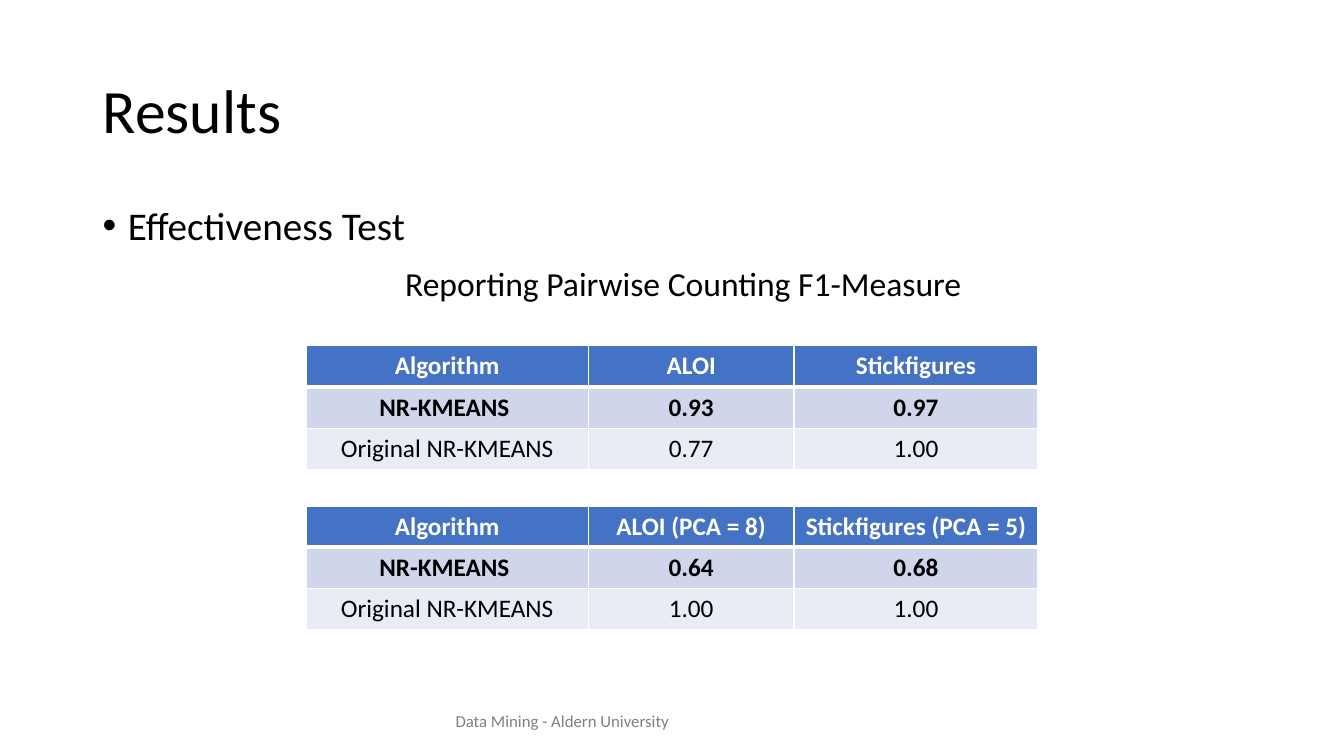
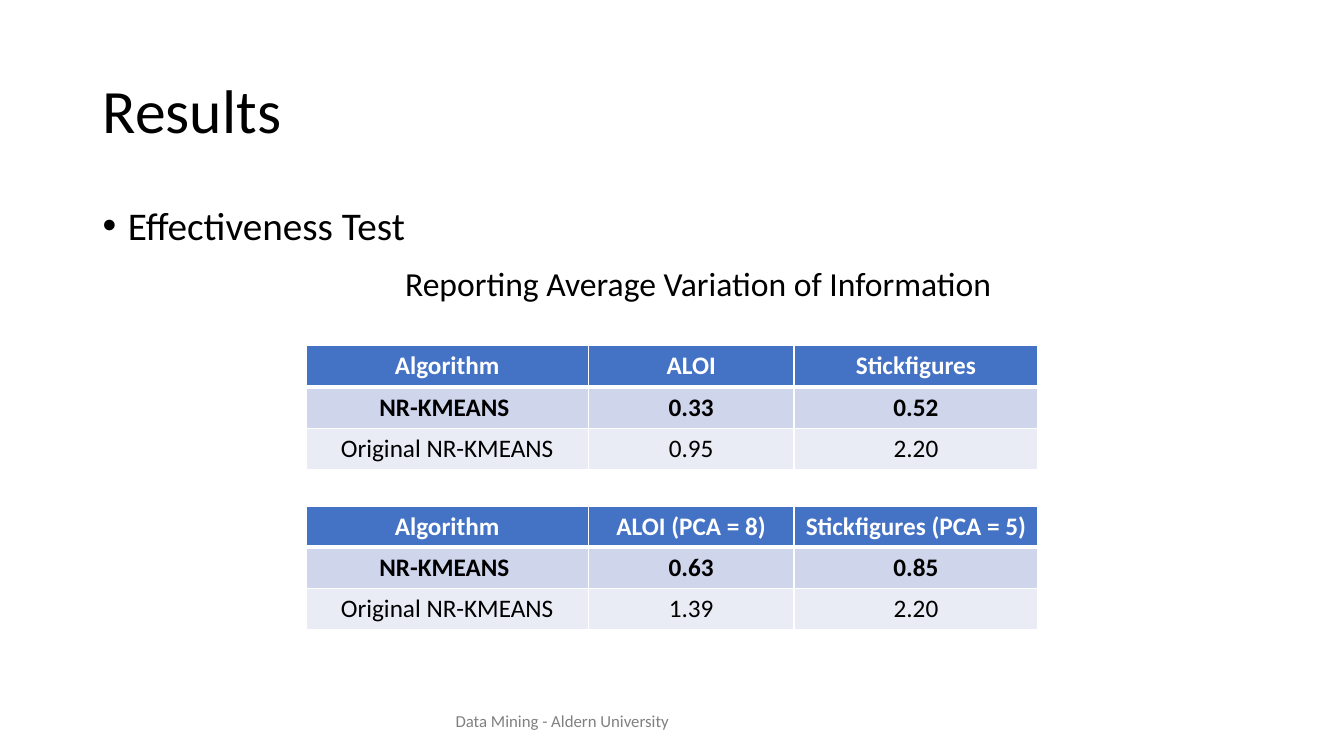
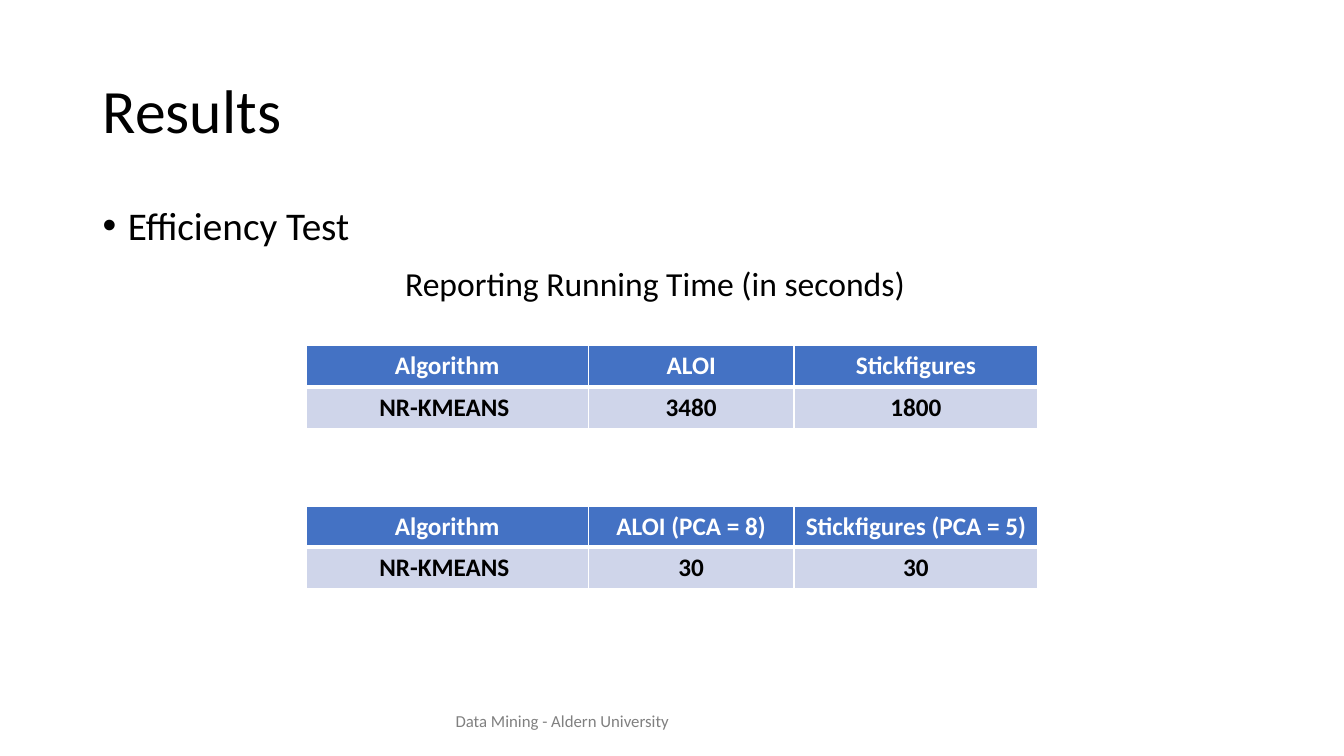
from pptx import Presentation, util as u
from pptx.dml.color import RGBColor
from pptx.enum import text as t
from pptx.oxml import parse_xml
from pptx.oxml.ns import nsdecls

WIDE, HIGH = 13.33, 7.5
COLORS = dict(ink="000000", paper="FFFFFF", head="4472C4",
              odd="CFD5EA", even="E9EBF5", foot="808080")
FONT = "Calibri"
TITLE = "Results"
FOOTER = "Data Mining - Aldern University"
HEADS = [("Algorithm", "ALOI", "Stickfigures"),
         ("Algorithm", "ALOI (PCA = 8)", "Stickfigures (PCA = 5)")]
NAMES = ["NR-KMEANS ", "Original NR-KMEANS"]

# Each slide: bullet, caption, then the value rows of its two tables
SLIDES = [
    ("Effectiveness Test", "Reporting Pairwise Counting F1-Measure",
     [[("0.93", "0.97"), ("0.77", "1.00")],
      [("0.64", "0.68"), ("1.00", "1.00")]]),
    ("Effectiveness Test", "Reporting Average Variation of Information",
     [[("0.33", "0.52"), ("0.95", "2.20")],
      [("0.63", "0.85"), ("1.39", "2.20")]]),
    ("Efficiency Test", "Reporting Running Time (in seconds)",
     [[("3480", "1800")], [("30", "30")]]),
]

MARGIN = 0.92
SPAN = WIDE - 2 * MARGIN
COLS = [2.8, 2.04, 2.42]
ROW = 0.41
TOP, STEP = 3.43, 1.59


def write(par, words, size=18, color="ink", bold=False, align="LEFT",
          line=None, before=0, after=0):
    run = par.add_run()
    run.text = words
    font = run.font
    font.name, font.size, font.bold = FONT, u.Pt(size), bold
    font.color.rgb = RGBColor.from_string(COLORS[color])
    par.alignment = t.PP_ALIGN[align]
    par.space_before, par.space_after = u.Pt(before), u.Pt(after)
    if line:
        par.line_spacing = line


def indent(par, left, first=0, mark=None):
    """Set the paragraph's indents in inches, and its bullet if any."""
    props = par._p.get_or_add_pPr()
    props.set("marL", str(u.Inches(left)))
    props.set("indent", str(u.Inches(first)))
    if mark:
        props.append(parse_xml(
            f'<a:buFont {nsdecls("a")} typeface="Arial"/>'))
        props.append(parse_xml(
            f'<a:buChar {nsdecls("a")} char="{mark}"/>'))


def place(shape, left, top, wide, high):
    shape.left, shape.top = u.Inches(left), u.Inches(top)
    shape.width, shape.height = u.Inches(wide), u.Inches(high)


def add_box(slide, *area, anchor="TOP"):
    box = slide.shapes.add_textbox(*map(u.Inches, area))
    frame = box.text_frame
    frame.word_wrap = True
    frame.vertical_anchor = t.MSO_ANCHOR[anchor]
    return frame


def add_edges(cell, **widths):
    props = cell._tc.get_or_add_tcPr()
    for side, width in widths.items():
        props.append(parse_xml(
            f'<a:ln{side} {nsdecls("a")} w="{u.Pt(width)}"><a:solidFill>'
            f'<a:srgbClr val="{COLORS["paper"]}"/></a:solidFill></a:ln{side}>'))


def add_grid(slide, top, rows):
    wide = sum(COLS)
    area = ((WIDE - wide) / 2, top, wide, ROW * len(rows))
    table = slide.shapes.add_table(
        len(rows), len(COLS), *map(u.Inches, area)).table
    for col, size in zip(table.columns, COLS):
        col.width = u.Inches(size)
    for r, row in enumerate(rows):
        table.rows[r].height = u.Inches(ROW)
        for c, words in enumerate(row):
            cell = table.cell(r, c)
            add_edges(cell, L=1, R=1, T=3 if r == 1 else 1,
                      B=3 if r == 0 else 1)
            cell.fill.solid()
            fill = ("head", "odd", "even")[r]
            cell.fill.fore_color.rgb = RGBColor.from_string(COLORS[fill])
            write(cell.text_frame.paragraphs[0], words, bold=r < 2,
                  color="ink" if r else "paper", align="CENTER")


def add_frame(deck):
    """Add a slide with the shared title and footer."""
    slide = deck.slides.add_slide(deck.slide_layouts[5])
    title = slide.shapes.title
    place(title, MARGIN, 0.4, SPAN, 1.45)
    frame = title.text_frame
    frame.auto_size = t.MSO_AUTO_SIZE.NONE
    frame.vertical_anchor = t.MSO_ANCHOR.MIDDLE
    write(frame.paragraphs[0], TITLE, size=44, line=0.9)
    foot = add_box(slide, 4.42, 6.95, 4.5, 0.4, anchor="MIDDLE")
    write(foot.paragraphs[0], FOOTER, size=12, color="foot", after=6)
    return slide


def main():
    deck = Presentation()
    deck.slide_width, deck.slide_height = u.Inches(WIDE), u.Inches(HIGH)
    for point, caption, tables in SLIDES:
        slide = add_frame(deck)
        body = add_box(slide, MARGIN, 2, SPAN, 4.76)
        first, second = body.paragraphs[0], body.add_paragraph()
        write(first, point, size=28, line=0.9, before=10)
        indent(first, 0.25, -0.25, mark="•")
        write(second, caption, size=24, line=0.9, before=13.5)
        indent(second, 3)
        for n, (head, values) in enumerate(zip(HEADS, tables)):
            rows = [(name, *row) for name, row in zip(NAMES, values)]
            add_grid(slide, TOP + n * STEP, [head, *rows])
    deck.save("out.pptx")


if __name__ == "__main__":
    main()
